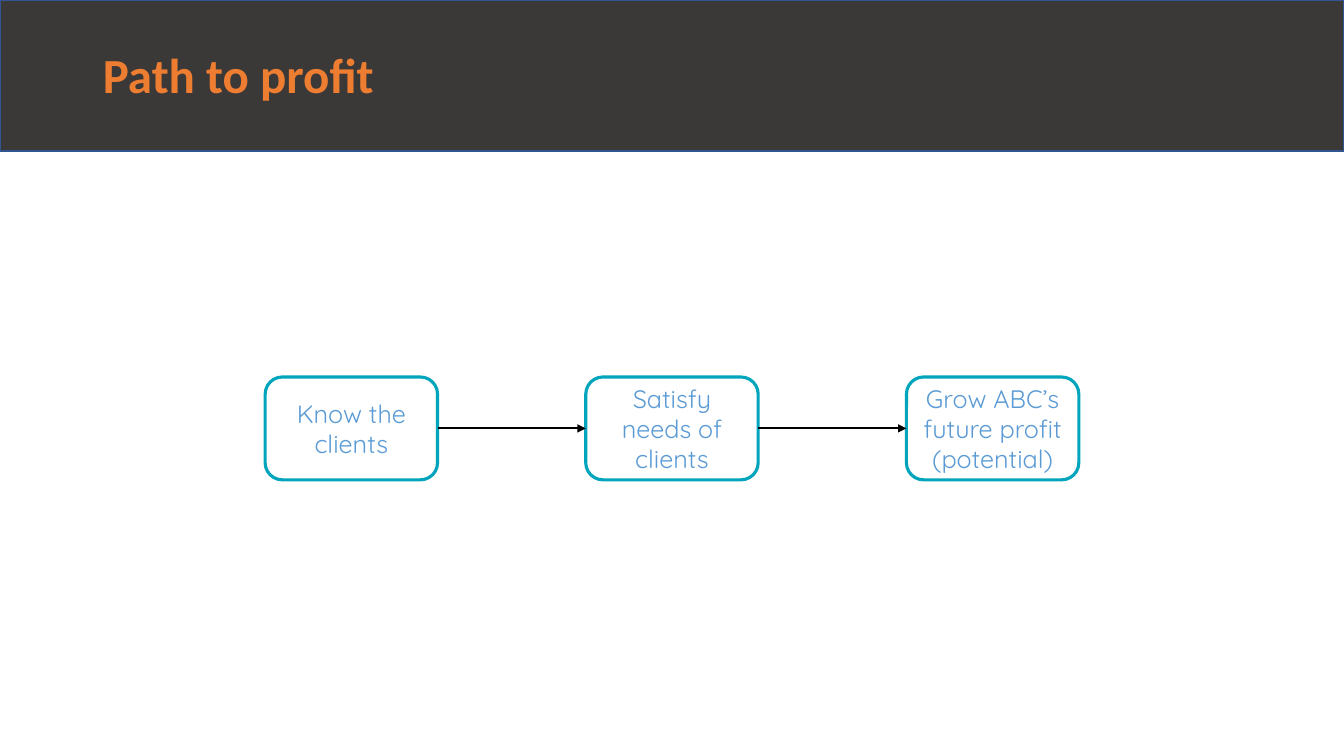
from dataclasses import dataclass
from itertools import pairwise

from lxml import etree
from pptx import Presentation
from pptx.dml.color import RGBColor
from pptx.enum.shapes import MSO_CONNECTOR, MSO_SHAPE
from pptx.enum.text import MSO_ANCHOR, PP_ALIGN
from pptx.oxml.ns import qn
from pptx.shapes.autoshape import Shape
from pptx.slide import Slide
from pptx.util import Inches, Pt

RECT = MSO_SHAPE.RECTANGLE
ROUNDED = MSO_SHAPE.ROUNDED_RECTANGLE
STRAIGHT = MSO_CONNECTOR.STRAIGHT
MIDDLE = MSO_ANCHOR.MIDDLE
LEFT, CENTER = PP_ALIGN.LEFT, PP_ALIGN.CENTER

CHARCOAL = RGBColor(0x3B, 0x38, 0x38)
NAVY = RGBColor(0x32, 0x54, 0x91)
ORANGE = RGBColor(0xED, 0x7D, 0x31)
TEAL = RGBColor(0x02, 0xA5, 0xBB)
SKY = RGBColor(0x5B, 0x9B, 0xD5)
BLACK = RGBColor(0, 0, 0)

SLIDE_W, SLIDE_H = 13.33, 7.5
STEP_LEFT, STEP_TOP, STEP_PITCH = 2.63, 3.74, 3.18
STEP_W, STEP_H = 1.71, 1.02
LEFT_SIDE, RIGHT_SIDE = 1, 3


@dataclass
class Step:
    text: str
    left: float


STEPS = [
    Step(text, STEP_LEFT + i * STEP_PITCH)
    for i, text in enumerate([
        "Know the clients",
        "Satisfy needs of clients",
        "Grow ABC’s future profit (potential)",
    ])
]
TITLE_FONT = {"name": "Calibri", "size": Pt(35), "bold": True}
STEP_FONT = {"name": "Quicksand", "size": Pt(18), "bold": False}


def write(sp: Shape, text: str, font: dict, color: RGBColor, align: PP_ALIGN) -> None:
    tf = sp.text_frame
    tf.word_wrap = True
    tf.vertical_anchor = MIDDLE
    p = tf.paragraphs[0]
    p.alignment = align
    r = p.add_run()
    r.text = text
    for name, value in font.items():
        setattr(r.font, name, value)
    r.font.color.rgb = color


def add_title(slide: Slide, text: str) -> None:
    """Fill the title placeholder and lay the dark band behind it."""
    title = slide.shapes.title
    title.left, title.top = Inches(0.92), Inches(0.05)
    title.width, title.height = Inches(11.5), Inches(1.45)
    write(title, text, TITLE_FONT, ORANGE, LEFT)
    title.text_frame.paragraphs[0].line_spacing = 0.9
    band = slide.shapes.add_shape(RECT, 0, 0, Inches(SLIDE_W), Inches(1.5))
    band.shadow.inherit = False
    band.fill.solid()
    band.fill.fore_color.rgb = CHARCOAL
    band.line.color.rgb = NAVY
    band.line.width = Pt(1)
    title.element.addprevious(band.element)


def add_step(slide: Slide, step: Step) -> Shape:
    sp = slide.shapes.add_shape(
        ROUNDED, Inches(step.left), Inches(STEP_TOP), Inches(STEP_W), Inches(STEP_H))
    sp.shadow.inherit = False
    sp.fill.background()
    sp.line.color.rgb = TEAL
    sp.line.width = Pt(2.25)
    for side in ("left", "right", "top", "bottom"):
        setattr(sp.text_frame, f"margin_{side}", Inches(0.05))
    write(sp, step.text, STEP_FONT, SKY, CENTER)
    return sp


def add_arrow(slide: Slide, start: Shape, end: Shape) -> None:
    arrow = slide.shapes.add_connector(STRAIGHT, 0, 0, 0, 0)
    arrow.begin_connect(start, RIGHT_SIDE)
    arrow.end_connect(end, LEFT_SIDE)
    arrow.line.color.rgb = BLACK
    arrow.line.width = Pt(1.5)
    sp_pr = arrow.element.spPr
    etree.SubElement(sp_pr.find(qn("a:ln")), qn("a:tailEnd"), type="triangle")
    etree.SubElement(sp_pr, qn("a:effectLst"))


def main() -> None:
    prs = Presentation()
    prs.slide_width, prs.slide_height = Inches(SLIDE_W), Inches(SLIDE_H)
    slide = prs.slides.add_slide(prs.slide_layouts.get_by_name("Title Only"))
    add_title(slide, "Path to profit")
    boxes = [add_step(slide, step) for step in STEPS]
    for start, end in pairwise(boxes):
        add_arrow(slide, start, end)
    prs.save("out.pptx")


if __name__ == "__main__":
    main()
